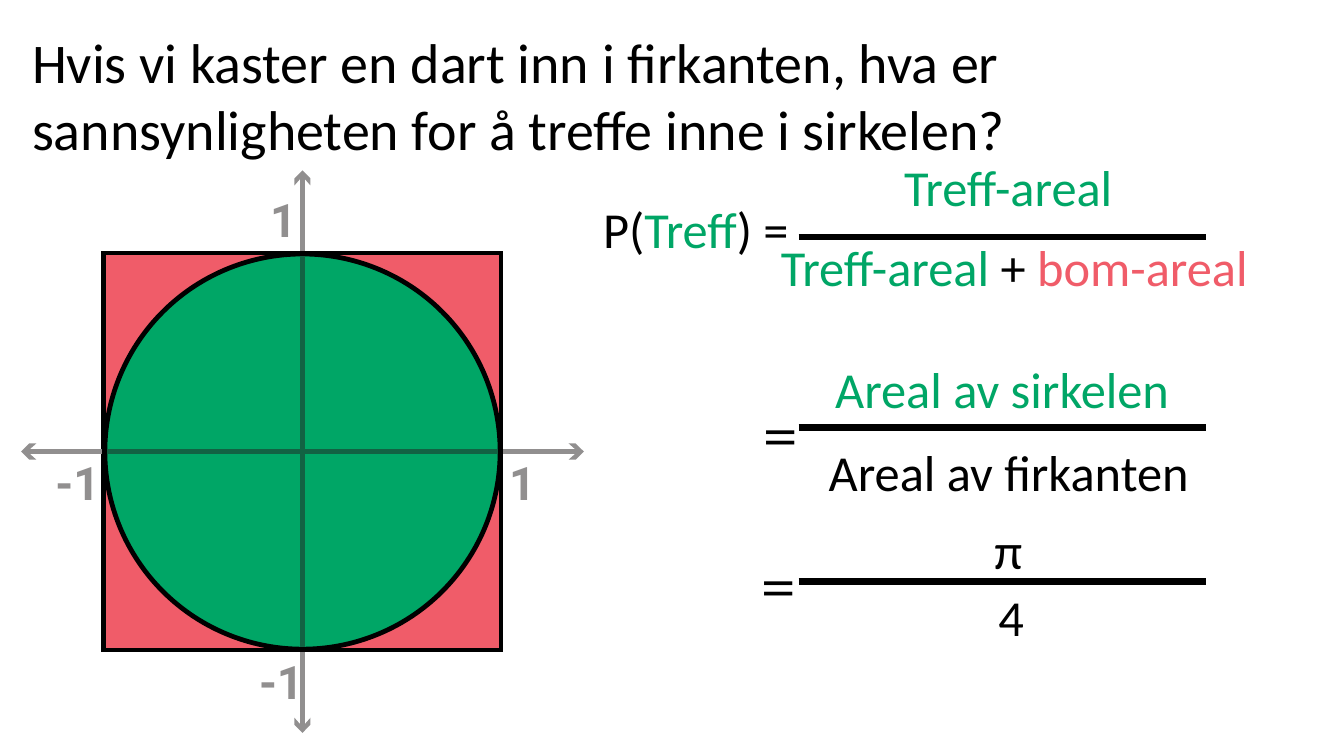
from lxml import etree
from pptx import Presentation
from pptx import util as u
from pptx.dml.color import RGBColor
from pptx.enum import shapes, text
from pptx.oxml.ns import qn

COLORS = {
    "black": "000000",
    "hit": "00A666",
    "miss": "F05C69",
    "axis": "918F8F",
    "inner_axis": "126243",
}
CENTER_X, CENTER_Y = 3.0, 4.48
OUTLINE = 3.4
LEFT, CENTER, RIGHT = text.PP_ALIGN.LEFT, text.PP_ALIGN.CENTER, text.PP_ALIGN.RIGHT


def rgb(name):
    return RGBColor.from_string(COLORS[name])


def add_text(slide, box, parts, size=36, font="Calibri", align=CENTER,
             bold=False, margins=True, wrap=True):
    """Text box with one paragraph; parts are (wording, colour) pairs."""
    frame = slide.shapes.add_textbox(*map(u.Inches, box)).text_frame
    frame.word_wrap = wrap
    frame.auto_size = text.MSO_AUTO_SIZE.SHAPE_TO_FIT_TEXT
    if not margins:
        frame.margin_left = frame.margin_right = 0
        frame.margin_top = frame.margin_bottom = 0
    paragraph = frame.paragraphs[0]
    paragraph.alignment = align
    for wording, color in parts:
        run = paragraph.add_run()
        run.text = wording
        run.font.size = u.Pt(size)
        run.font.name = font
        run.font.bold = bold
        run.font.color.rgb = rgb(color)


def add_line(slide, start, end, color, width):
    line = slide.shapes.add_connector(
        shapes.MSO_CONNECTOR.STRAIGHT, *map(u.Inches, (*start, *end)))
    line.line.color.rgb = rgb(color)
    line.line.width = u.Pt(width)
    etree.SubElement(line._element.spPr, qn("a:effectLst"))


def add_area(slide, preset, size, color):
    """Outlined area centred on the origin of the axes."""
    area = slide.shapes.add_shape(
        preset, u.Inches(CENTER_X - size / 2), u.Inches(CENTER_Y - size / 2),
        u.Inches(size), u.Inches(size))
    area.shadow.inherit = False
    area.fill.solid()
    area.fill.fore_color.rgb = rgb(color)
    area.line.color.rgb = rgb("black")
    area.line.width = u.Pt(OUTLINE)
    etree.SubElement(area.line._get_or_add_ln(), qn("a:miter"), lim="800000")


def add_half_axis(slide, dx, dy):
    """Half axis from the origin in direction (dx, dy), with its arrowhead."""
    def at(along, across=0):
        return (CENTER_X + dx * along - dy * across,
                CENTER_Y + dy * along + dx * across)

    add_line(slide, at(0), at(1.94), "inner_axis", OUTLINE)
    add_line(slide, at(1.99), at(2.73), "axis", OUTLINE)

    head = [at(2.79), at(2.71, 0.08), at(2.64, 0.08),
            at(2.73), at(2.64, -0.08), at(2.71, -0.08)]
    points = [(u.Inches(x), u.Inches(y)) for x, y in head]
    builder = slide.shapes.build_freeform(*points[0])
    builder.add_line_segments(points[1:], close=True)
    arrow = builder.convert_to_shape()
    arrow.shadow.inherit = False
    arrow.fill.solid()
    arrow.fill.fore_color.rgb = rgb("axis")
    arrow.line.fill.background()


def add_dartboard(slide):
    add_area(slide, shapes.MSO_SHAPE.RECTANGLE, 3.94, "miss")
    add_area(slide, shapes.MSO_SHAPE.OVAL, 3.92, "hit")
    for direction in ((1, 0), (-1, 0), (0, 1), (0, -1)):
        add_half_axis(slide, *direction)
    for label, left, top in (("1", 5.05, 4.51), ("-1", 0.55, 4.51),
                             ("1", 2.68, 1.9), ("-1", 2.57, 6.48)):
        add_text(slide, (left, top, 0.5, 0.72), [(label, "axis")], size=33,
                 font="Roboto", align=LEFT, bold=True, margins=False, wrap=False)


def add_fraction(slide, bar_y, numerator, denominator):
    """Fraction bar with (left, top, width, parts) above and below it."""
    add_line(slide, (7.92, bar_y), (11.96, bar_y), "black", 4.5)
    for left, top, width, parts in (numerator, denominator):
        add_text(slide, (left, top, width, 0.71), parts)


def main():
    deck = Presentation()
    deck.slide_width, deck.slide_height = u.Inches(13.33), u.Inches(7.5)
    slide = deck.slides.add_slide(deck.slide_layouts[6])

    # Question
    add_text(slide, (0.22, 0.22, 12.57, 1.45),
             [("Hvis vi kaster en dart inn i firkanten, hva er "
               "sannsynligheten for å treffe inne i sirkelen?", "black")],
             size=40, align=LEFT)

    # Square, circle and axes
    add_dartboard(slide)

    # Left-hand sides
    add_text(slide, (5.79, 1.92, 2.13, 0.71),
             [("P(", "black"), ("Treff", "hit"), (") =", "black")],
             align=RIGHT, wrap=False)
    for left, top in ((7.46, 3.92), (7.44, 5.42)):
        add_text(slide, (left, top, 0.45, 0.71), [("=", "black")],
                 font="TeX Gyre Adventor", align=RIGHT, wrap=False)

    # Fractions
    add_fraction(slide, 2.35,
                 (7.98, 1.5, 4.04, [("Treff-areal", "hit")]),
                 (7.5, 2.29, 5.12, [("Treff-areal", "hit"), (" + ", "black"),
                                    ("bom-areal", "miss")]))
    add_fraction(slide, 4.24,
                 (7.92, 3.5, 4.04, [("Areal av sirkelen", "hit")]),
                 (8.04, 4.33, 3.93, [("Areal av firkanten", "black")]))
    add_fraction(slide, 5.77,
                 (7.98, 5.1, 4.04, [("π", "black")]),
                 (8.01, 5.77, 4.04, [("4", "black")]))

    deck.save("out.pptx")


if __name__ == "__main__":
    main()
